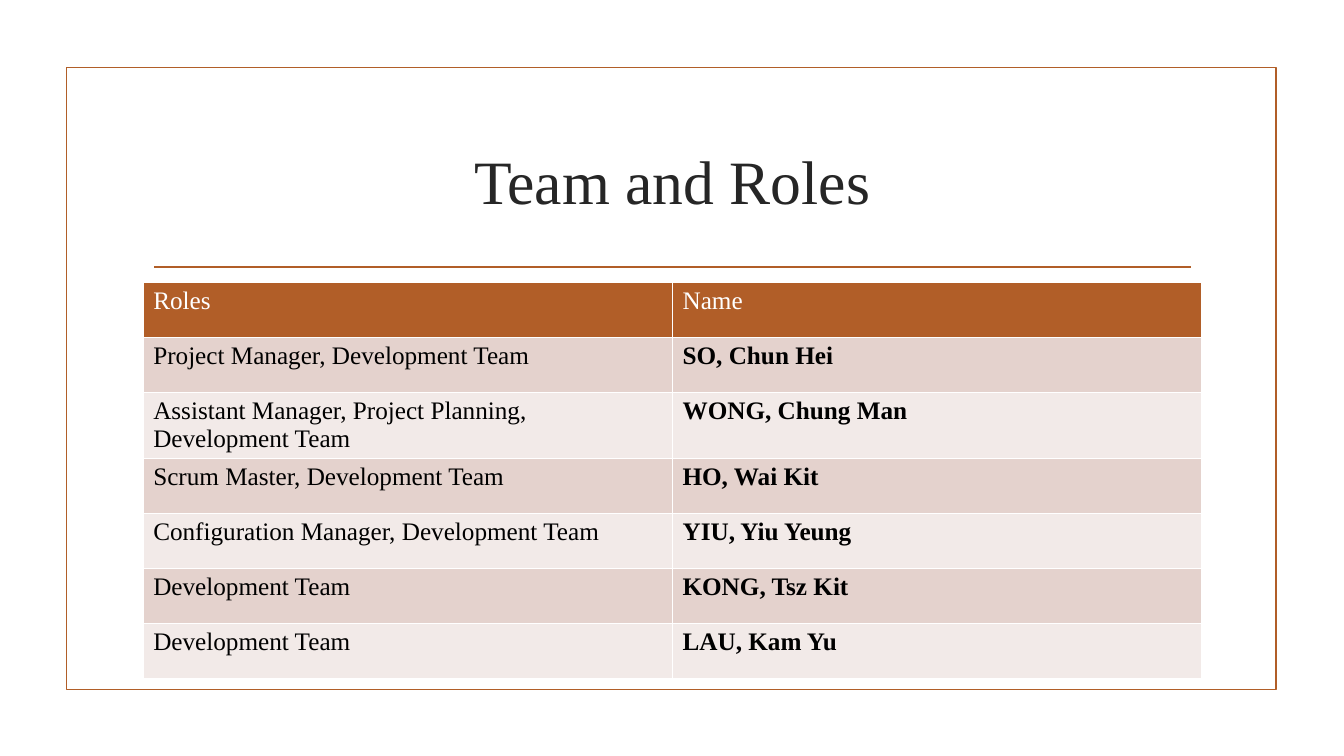
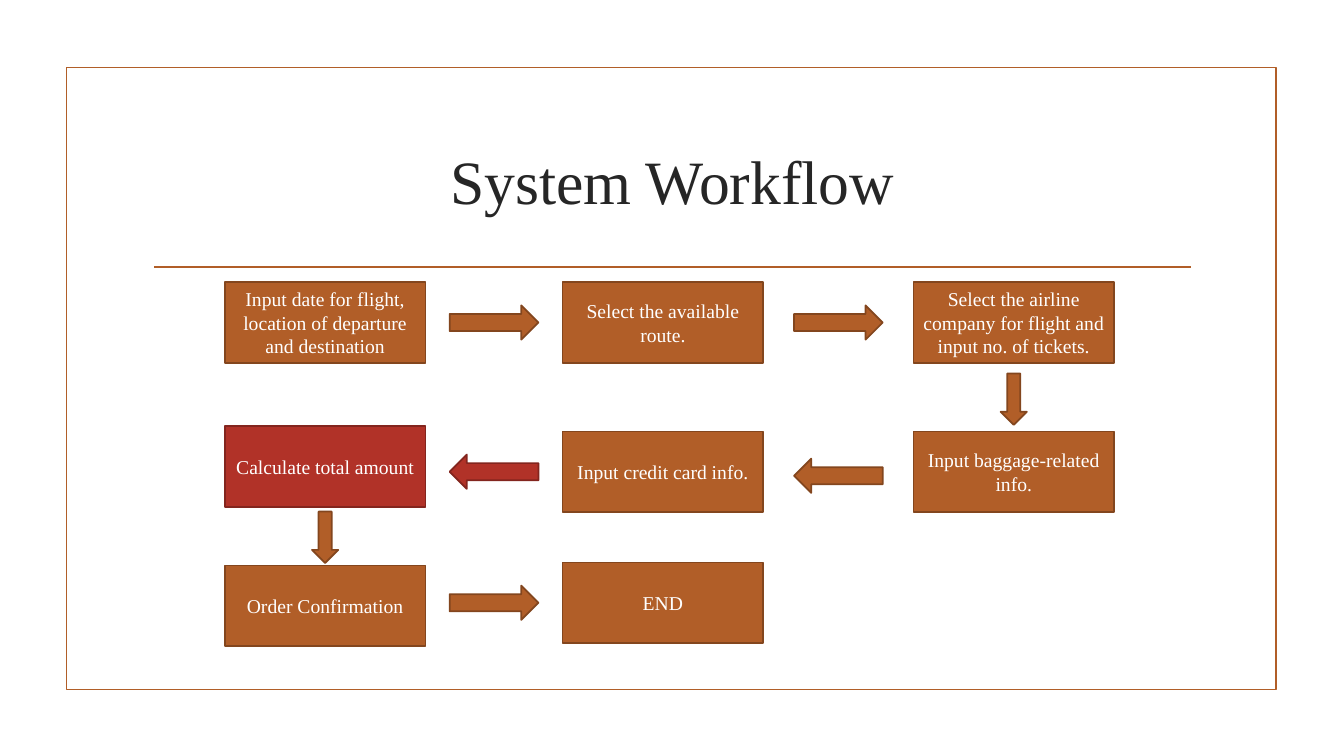
from itertools import pairwise

from lxml import etree
from pptx import Presentation
from pptx import util as u
from pptx.dml import color
from pptx.enum import shapes, text
from pptx.oxml import ns

RUST, RUST_EDGE = "B15E28", "83461E"
RED, RED_EDGE = "B13228", "83251E"
WHITE, BLACK, INK = "FFFFFF", "000000", "262626"
BANDS = ("E4D2CD", "F2EAE8")
FRAME_BOX = (0.66, 0.67, 12, 6.17)
TITLE_BOX = (1.42, 1.07, 10.5, 1.43)
BODY_BOX = (1.42, 2.8, 10.5, 3.82)
RULE_SPAN, RULE_TOP = (1.53, 11.81), 2.65
FONT, LINE_WIDTH = "Times New Roman", 1.25
TITLE_FORMAT = {"name": FONT, "size": u.Pt(44)}
TABLE_FORMAT = {"name": FONT, "size": u.Pt(18)}
STEP_FORMAT = {"name": FONT, "size": u.Pt(14)}
STEP_SIZE = (1.99, 0.8)
ARROW_SIZE, DROP_SIZE = (0.88, 0.34), (0.26, 0.51)
COLUMN_OFFSETS = (0.81, 4.16, 7.64)

ROLES = [
    ("Roles", "Name"),
    ("Project Manager, Development Team", "SO, Chun Hei"),
    ("Assistant Manager, Project Planning, Development Team", "WONG, Chung Man"),
    ("Scrum Master, Development Team", "HO, Wai Kit"),
    ("Configuration Manager, Development Team", "YIU, Yiu Yeung"),
    ("Development Team", "KONG, Tsz Kit"),
    ("Development Team", "LAU, Kam Yu"),
]
STEPS = [
    ("Input date for flight, location of departure and destination", 0, 0, RUST, RUST_EDGE),
    ("Select the available route.", 1, 0, RUST, RUST_EDGE),
    ("Select the airline company for flight and input no. of tickets.", 2, 0, RUST, RUST_EDGE),
    ("Input baggage-related info.", 2, 1.48, RUST, RUST_EDGE),
    ("Input credit card info.", 1, 1.48, RUST, RUST_EDGE),
    ("Calculate total amount", 0, 1.43, RED, RED_EDGE),
    ("Order Confirmation", 0, 2.81, RUST, RUST_EDGE),
    ("END", 1, 2.78, RUST, RUST_EDGE),
]
ARROW_MIDDLES = (0.4, 0.4, 1.16, 1.92, 1.88, 2.53, 3.18)


def rgb(value):
    """Turn a hex string into a colour."""
    return color.RGBColor.from_string(value)


def inches(*lengths):
    """Turn numbers into lengths."""
    return [u.Inches(length) for length in lengths]


def write(frame, wording, formats, ink, align=None, bold=False):
    """Write one formatted paragraph into a text frame."""
    paragraph = frame.paragraphs[0]
    paragraph.alignment = align
    run = paragraph.add_run()
    run.text = wording
    for attribute, value in {**formats, "bold": bold}.items():
        setattr(run.font, attribute, value)
    run.font.color.rgb = rgb(ink)


def outline(part, edge):
    """Give a shape or connector its line."""
    part.line.color.rgb = rgb(edge)
    part.line.width = u.Pt(LINE_WIDTH)


def add_block(slide, preset, box, fill, edge):
    """Add a flat preset shape, hollow when it has no fill colour."""
    block = slide.shapes.add_shape(preset, *inches(*box))
    block.shadow.inherit = False
    if fill:
        block.fill.solid()
        block.fill.fore_color.rgb = rgb(fill)
    else:
        block.fill.background()
    outline(block, edge)
    return block


def prepare_layout(layout, slide):
    """Draw the frame and rule once and move them to the shared layout."""
    title, *footers = layout.placeholders
    for footer in footers:
        layout.shapes.element.remove(footer.element)
    title.left, title.top, title.width, title.height = inches(*TITLE_BOX)
    frame = add_block(slide, shapes.MSO_SHAPE.RECTANGLE, FRAME_BOX, None, RUST)
    start, end = RULE_SPAN
    rule = slide.shapes.add_connector(
        shapes.MSO_CONNECTOR.STRAIGHT, *inches(start, RULE_TOP, end, RULE_TOP))
    outline(rule, RUST)
    etree.SubElement(rule.element.spPr, ns.qn("a:effectLst"))
    for part in (frame, rule):
        layout.shapes.element.append(part.element)


def add_title(slide, wording):
    """Fill the title placeholder."""
    frame = slide.shapes.title.text_frame
    frame.vertical_anchor = text.MSO_ANCHOR.MIDDLE
    write(frame, wording, TITLE_FORMAT, INK, text.PP_ALIGN.CENTER)


def add_roles(slide, box):
    """Add the table of roles and names in a box."""
    roster = slide.shapes.add_table(len(ROLES), len(ROLES[0]), *inches(*box)).table
    for row, entries in enumerate(ROLES):
        for column, wording in enumerate(entries):
            cell = roster.cell(row, column)
            cell.fill.solid()
            cell.fill.fore_color.rgb = rgb(BANDS[(row - 1) % 2] if row else RUST)
            write(cell.text_frame, wording, TABLE_FORMAT, BLACK if row else WHITE,
                  bold=row > 0 and column == 1)


def add_step(slide, origin, step):
    """Add one workflow step relative to an origin."""
    wording, column, top, fill, edge = step
    left = origin[0] + COLUMN_OFFSETS[column]
    block = add_block(slide, shapes.MSO_SHAPE.RECTANGLE,
                      (left, origin[1] + top, *STEP_SIZE), fill, edge)
    block.text_frame.word_wrap = True
    block.text_frame.vertical_anchor = text.MSO_ANCHOR.MIDDLE
    write(block.text_frame, wording, STEP_FORMAT, WHITE, text.PP_ALIGN.CENTER)


def add_arrow(slide, origin, source, target, middle):
    """Add the block arrow between two steps in the target's colours."""
    start, end = source[1], target[1]
    if start == end:
        preset, size = shapes.MSO_SHAPE.DOWN_ARROW, DROP_SIZE
    else:
        preset = shapes.MSO_SHAPE.RIGHT_ARROW if start < end else shapes.MSO_SHAPE.LEFT_ARROW
        size = ARROW_SIZE
    center = (COLUMN_OFFSETS[start] + COLUMN_OFFSETS[end] + STEP_SIZE[0]) / 2
    corner = (origin[0] + center - size[0] / 2, origin[1] + middle - size[1] / 2)
    add_block(slide, preset, (*corner, *size), *target[3:])


def add_workflow(slide, box):
    """Add the steps and arrows of the workflow in a box."""
    origin = box[:2]
    for step in STEPS:
        add_step(slide, origin, step)
    for (source, target), middle in zip(pairwise(STEPS), ARROW_MIDDLES):
        add_arrow(slide, origin, source, target, middle)


def main():
    """Build and save the deck."""
    deck = Presentation()
    deck.slide_width, deck.slide_height = inches(13.33, 7.5)
    layout = deck.slide_layouts.get_by_name("Title Only")
    pages = (("Team and Roles", add_roles), ("System Workflow", add_workflow))
    for number, (title, add_body) in enumerate(pages):
        slide = deck.slides.add_slide(layout)
        if number == 0:
            prepare_layout(layout, slide)
        add_title(slide, title)
        add_body(slide, BODY_BOX)
    deck.save("out.pptx")


if __name__ == "__main__":
    main()
